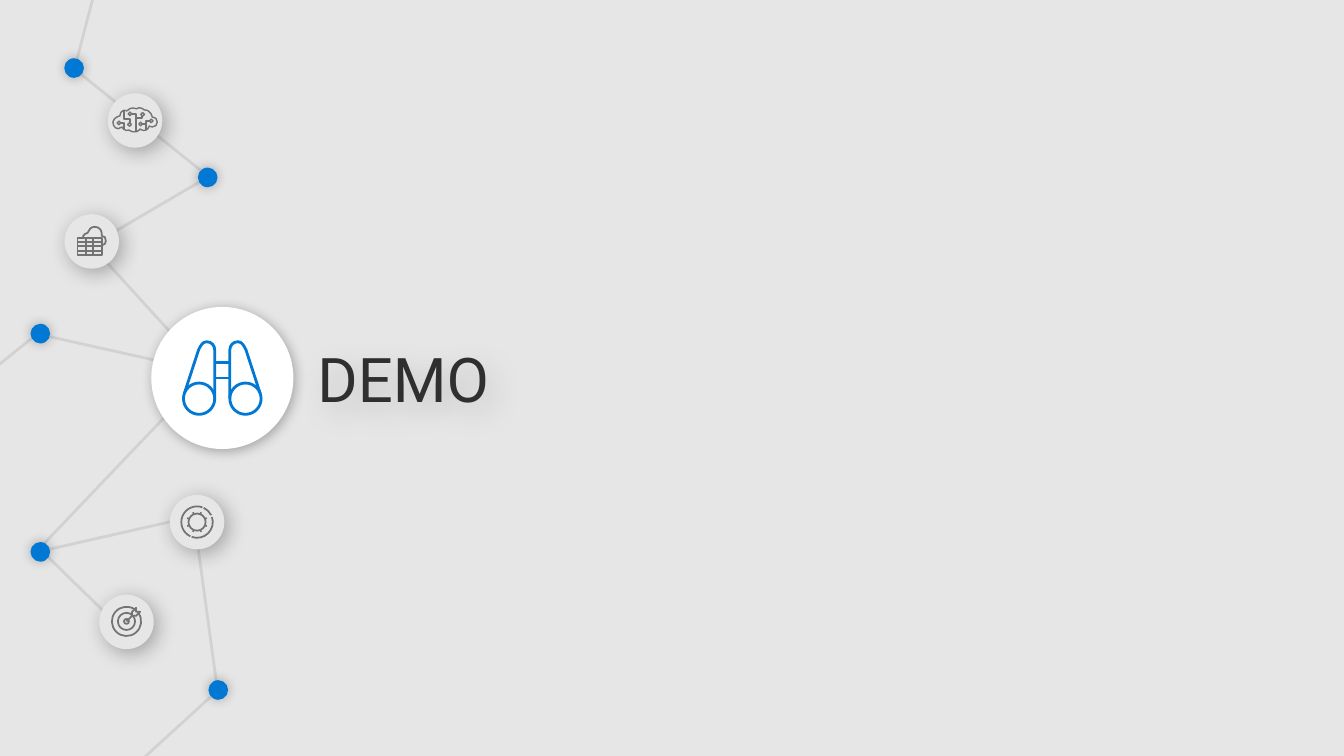
from math import ceil, cos, radians, sin, tan

from lxml.etree import SubElement
from pptx import Presentation
from pptx.dml.color import RGBColor
from pptx.enum.shapes import MSO_CONNECTOR, MSO_SHAPE
from pptx.enum.text import MSO_AUTO_SIZE as AutoSize
from pptx.oxml.ns import qn
from pptx.util import Inches, Pt

CELL = Inches(0.01)
COLUMNS, ROWS = 1333, 750
BLUE, GRAY, PALE, EDGE = "0078D4", "737373", "E6E6E6", "D2D2D2"
DOT_SHADOW = (27, 8, 0)
DISC_SHADOW = (30, 15, 4)
HUB_SHADOW = (30, 9, 2)
TITLE_SHADOW = (16, 20, 8)

EDGES = [
    (31, 336, -10, 369), (218, 683, 125, 768), (193, 518, 217, 694),
    (91, 244, 204, 368), (44, 549, 128, 631), (44, 546, 185, 514),
    (206, 369, 44, 539), (197, 181, 93, 242), (77, 71, 204, 173),
    (75, 64, 93, -5),
]
DOTS = [(206, 176), (216.5, 684.5), (73.5, 67.5), (40, 547.5), (40, 331)]
BRAIN, CLOUD, TARGET, GEAR = (134, 119.5), (91, 239.5), (125.5, 617), (195.5, 518)
HUB = (220.5, 375)

BRAIN_OUTLINE = [
    (148, 125), (149, 126), (150, 126), (151, 126), (154, 126), (156, 124),
    (156, 121), (156, 118), (154, 116), (151, 116), (151, 116), (150, 109),
    (143, 109), (143, 109), (139, 105), (135, 108), (135, 108), (130, 105),
    (126, 110), (126, 110), (120, 107), (119, 115), (119, 115), (113, 116),
    (112, 121), (112, 126), (116, 130), (121, 126), (121, 126), (124, 131),
    (128, 129), (128, 129), (134, 134), (139, 128), (139, 128), (145, 133),
    (148, 125),
]
BRAIN_NODES = [(150, 120), (139.5, 123), (129, 113), (141.5, 113.5),
               (128.5, 123.5), (118, 122)]
BRAIN_WIRES = [
    [(123, 129), (123, 122), (120, 122)],
    [(135, 131), (135, 113), (131, 113)],
    [(135, 117), (141, 117), (141, 115)],
    [(123, 110), (123, 118), (129, 118), (129, 122)],
    [(148, 120), (145, 120), (145, 125)],
    [(145, 129), (145, 123), (141, 123)],
]
CLOUD_OUTLINE = [
    (82, 235), (83, 233), (85, 231), (87, 231), (88, 228), (90, 225),
    (94, 225), (98, 225), (101, 228), (101, 232), (101, 233), (101, 233),
    (101, 234), (104, 234), (105, 236), (105, 239), (105, 241), (104, 243),
    (102, 243),
]
BARREL_TOP = [(213, 347), (213, 343), (210, 339), (205, 339), (201, 339),
              (199, 343), (197, 347)]
DART = [(139, 607), (135, 607), (135, 603), (131, 607), (131, 611),
        (135, 611), (139, 607)]


def grid(count):
    return int(count * CELL)


def color(value):
    return RGBColor.from_string(value)


def add_shadow(shape, alpha, blur, distance):
    shape.shadow.inherit = False
    effects = shape._element.spPr.find(qn("a:effectLst"))
    shadow = SubElement(effects, qn("a:outerShdw"), blurRad=str(Pt(blur)),
                        dist=str(Pt(distance)), dir=str(45 * 60000),
                        algn="ctr", rotWithShape="0")
    tint = SubElement(shadow, qn("a:srgbClr"), val="000000")
    SubElement(tint, qn("a:alpha"), val=str(alpha * 1000))


def add_line(slide, ends, line_color, width):
    line = slide.shapes.add_connector(MSO_CONNECTOR.STRAIGHT, *map(grid, ends))
    line.line.color.rgb = color(line_color)
    line.line.width = Pt(width)
    SubElement(line._element.spPr, qn("a:effectLst"))
    return line


def add_disc(slide, center, size, fill, shadow):
    left, top = (grid(value - size / 2) for value in center)
    disc = slide.shapes.add_shape(MSO_SHAPE.OVAL, left, top, grid(size), grid(size))
    disc.fill.solid()
    disc.fill.fore_color.rgb = color(fill)
    disc.line.fill.background()
    add_shadow(disc, *shadow)


def outline(shape, line_color, width):
    shape.fill.background()
    shape.line.color.rgb = color(line_color)
    shape.line.width = Pt(width)
    shape.shadow.inherit = False


def bend_segments(shape):
    track = next(shape._element.spPr.iter(qn("a:path")))
    segments = track.findall(qn("a:lnTo"))
    for first in range(0, len(segments), 3):
        bend = SubElement(track, qn("a:cubicBezTo"))
        segments[first].addprevious(bend)
        for segment in segments[first:first + 3]:
            bend.append(segment[0])
            track.remove(segment)


def add_strokes(slide, strokes, line_color, width):
    scaled = [[(grid(x), grid(y)) for x, y in stroke] for stroke in strokes]
    builder = slide.shapes.build_freeform(*scaled[0][0], scale=1.0)
    for index, stroke in enumerate(scaled):
        if index:
            builder.move_to(*stroke[0])
        builder.add_line_segments(stroke[1:], close=stroke[0] == stroke[-1])
    shape = builder.convert_to_shape()
    bend_segments(shape)
    outline(shape, line_color, width)


def straight(points):
    return points[:1] + [point for point in points[1:] for _ in range(3)]


def arc(center, radius, start=0, end=360):
    count = ceil(abs(end - start) / 90)
    step = radians((end - start) / count)
    reach = 4 / 3 * tan(step / 4)

    def place(angle, pull=0):
        return (round(center[0] + radius * (cos(angle) - pull * sin(angle)), 2),
                round(center[1] + radius * (sin(angle) + pull * cos(angle)), 2))

    points = [place(radians(start))]
    for index in range(count):
        angle = radians(start) + index * step
        points += [place(angle, reach), place(angle + step, -reach), place(angle + step)]
    return points


def add_network(slide):
    for ends in EDGES:
        add_line(slide, ends, EDGE, 2)
    hub_edge = add_line(slide, (206, 369, 49, 334), EDGE, 2)
    SubElement(hub_edge.line._get_or_add_ln(), qn("a:headEnd"), type="oval")
    for center in DOTS:
        add_disc(slide, center, 19.5, BLUE, DOT_SHADOW)
    for center in (BRAIN, CLOUD, TARGET, GEAR):
        add_disc(slide, center, 54, PALE, DISC_SHADOW)
    add_disc(slide, HUB, 141, "FFFFFF", HUB_SHADOW)


def add_binoculars(slide):
    barrel = straight([(213, 395), (213, 347)]) + BARREL_TOP[1:] + [(183, 390)] * 3
    left_half = [arc((197.5, 395.5), 15.5), barrel]
    right_half = [[(441 - x, y) for x, y in stroke] for stroke in left_half]
    bridges = [straight([(213, row), (228, row)]) for row in (360, 375)]
    add_strokes(slide, left_half + right_half + bridges, BLUE, 2)


def add_cloud_table(slide):
    frame = slide.shapes.add_shape(MSO_SHAPE.RECTANGLE, *map(grid, (77, 236, 24, 17)))
    outline(frame, GRAY, 1.25)
    for column in (85, 92):
        add_line(slide, (column, 236, column, 252), GRAY, 1.25)
    for row in (240, 244, 249):
        add_line(slide, (77, row, 101, row), GRAY, 1.25)
    add_strokes(slide, [CLOUD_OUTLINE], GRAY, 1.25)


def add_target(slide):
    center = (125.5, 616.5)
    strokes = [arc(center, 14.5, -35, 305), arc(center, 8.5), arc(center, 2.5),
               straight([center, (131, 611)]), straight(DART)]
    add_strokes(slide, strokes, GRAY, 1.25)


def add_gear(slide):
    center = (195.5, 518)
    teeth = [straight([arc(center, radius, angle, angle + 1)[0] for radius in (8.5, 10.5)])
             for angle in (45 * index + 22.5 for index in range(8))]
    arcs = [arc(center, 15.6, start, end)
            for start, end in ((-70, -245), (110, -19), (-26, -65))]
    add_strokes(slide, [arc(center, 8.5), *arcs, *teeth], GRAY, 1.25)


def add_brain(slide):
    nodes = [arc(center, 1.8) for center in BRAIN_NODES]
    add_strokes(slide, [BRAIN_OUTLINE, *nodes, *map(straight, BRAIN_WIRES)], GRAY, 1)


def add_title(slide, text):
    box = slide.shapes.add_textbox(*map(grid, (305, 328, 556, 94)))
    add_shadow(box, *TITLE_SHADOW)
    frame = box.text_frame
    frame.word_wrap = True
    frame.auto_size = AutoSize.SHAPE_TO_FIT_TEXT
    frame.margin_left = frame.margin_right = grid(10)
    frame.margin_top = frame.margin_bottom = grid(10)
    run = frame.paragraphs[0].add_run()
    run.text = text
    run.font.name, run.font.size = "Roboto", Pt(44)
    run.font.color.rgb = color("2F2F2F")


def main():
    presentation = Presentation()
    presentation.slide_width, presentation.slide_height = grid(COLUMNS), grid(ROWS)
    slide = presentation.slides.add_slide(presentation.slide_layouts[6])
    slide.background.fill.solid()
    slide.background.fill.fore_color.rgb = color(PALE)
    add_network(slide)
    add_title(slide, "DEMO")
    for add_icon in (add_binoculars, add_cloud_table, add_target, add_gear, add_brain):
        add_icon(slide)
    presentation.save("out.pptx")


if __name__ == "__main__":
    main()
